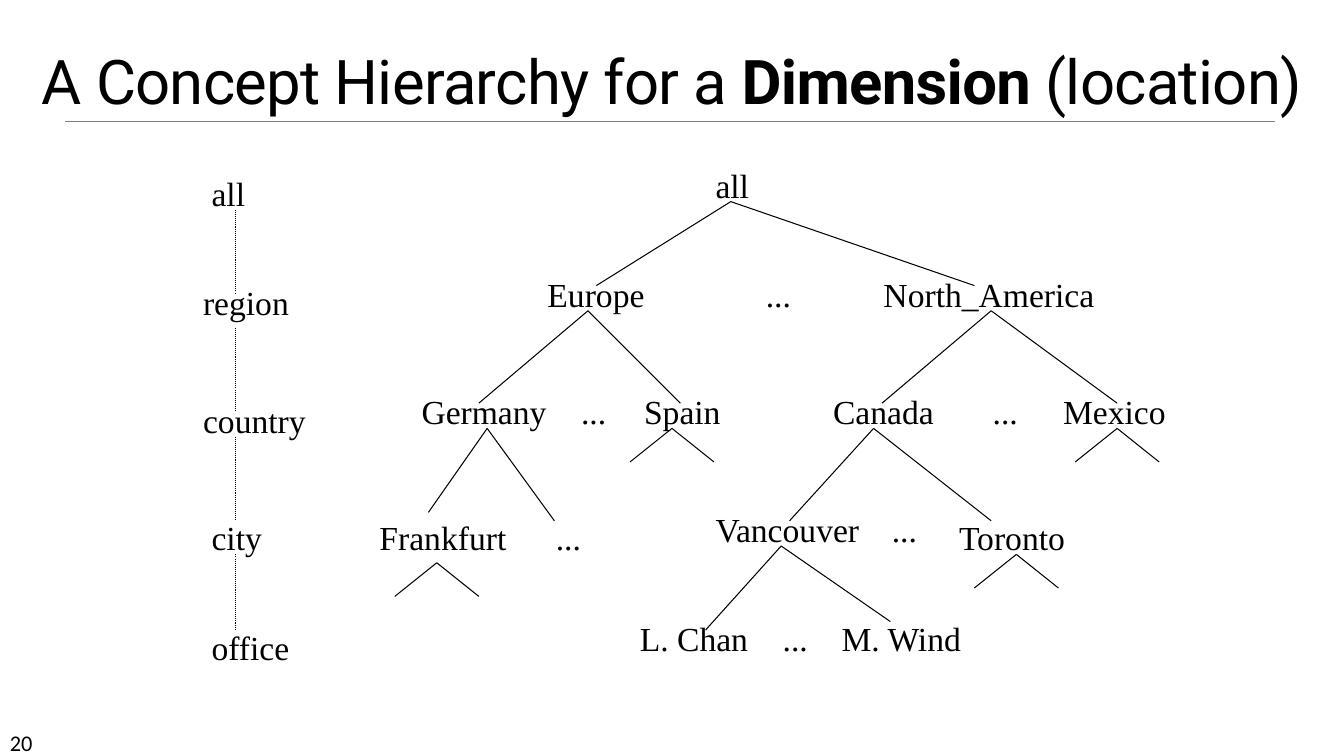
import pptx
import pptx.dml.color
import pptx.enum.dml
import pptx.enum.shapes
import pptx.enum.text
import pptx.oxml.ns
import pptx.util
from lxml import etree

BLACK = pptx.dml.color.RGBColor(0x00, 0x00, 0x00)
GRAY = pptx.dml.color.RGBColor(0x80, 0x80, 0x80)
PX = pptx.util.Inches(1) // 96
DOTTED = pptx.enum.dml.MSO_LINE.ROUND_DOT
LABEL_HEIGHT = 48

# text, left, top, width
LEVELS = [
    ("all", 192, 160, 51),
    ("region", 184, 264, 101),
    ("country", 184, 376, 117),
    ("city", 192, 488, 67),
    ("office", 192, 592, 94),
]
NODES = [
    ("all", 672, 152, 51),
    ("Europe", 512, 256, 113),
    ("North_America", 832, 256, 220),
    ("Germany", 392, 368, 138),
    ("Spain", 604, 368, 92),
    ("Canada", 784, 368, 115),
    ("Mexico", 1003, 368, 117),
    ("Frankfurt", 352, 488, 140),
    ("Vancouver", 672, 480, 159),
    ("Toronto", 904, 488, 122),
    ("L. Chan", 600, 584, 122),
    ("M. Wind", 792, 584, 134),
]
ELLIPSES = [(720, 256), (544, 368), (936, 368), (520, 488), (840, 480), (736, 584)]

# parent point: ends of its branches
BRANCHES = {
    (696, 192): [(568, 272), (928, 272)],
    (560, 296): [(456, 384), (648, 384)],
    (944, 296): [(840, 384), (1064, 384)],
    (464, 408): [(408, 488), (528, 496)],
    (832, 408): [(752, 496), (944, 496)],
    (744, 520): [(672, 600), (848, 592)],
}
STUBS = [(640, 408), (1064, 408), (416, 536), (968, 528)]
LEVEL_X = 224
LEVEL_GAPS = [(200, 280), (312, 392), (416, 496), (528, 600)]


def add_run(p, text, *, font="Times New Roman", size=24, bold=False, color=BLACK, spacing=None):
    """Append a formatted run; spacing is in hundredths of a point."""
    r = p.add_run()
    r.text = text
    r.font.name = font
    r.font.size = pptx.util.Pt(size)
    r.font.bold = bold
    r.font.color.rgb = color
    if spacing is not None:
        r.font._element.set("spc", str(spacing))


class SlideBuilder:
    def __init__(self, prs):
        self.s = prs.slides.add_slide(prs.slide_layouts[5])

    def title(self, parts, left, top, width, height):
        """Fill the title from (text, bold) pairs."""
        sp = self.s.shapes.title
        sp.left, sp.top, sp.width, sp.height = (n * PX for n in (left, top, width, height))
        tf = sp.text_frame
        tf.word_wrap = True
        tf.auto_size = pptx.enum.text.MSO_AUTO_SIZE.NONE
        tf.vertical_anchor = pptx.enum.text.MSO_ANCHOR.BOTTOM
        p = tf.paragraphs[0]
        p.alignment = pptx.enum.text.PP_ALIGN.CENTER
        p.line_spacing = 0.85
        for text, bold in parts:
            add_run(p, text, font="Roboto", size=44, bold=bold, spacing=-50)

    def label(self, text, left, top, width, height=LABEL_HEIGHT, grow=True, **style):
        """Add a text box that grows on one line, or wraps in a fixed frame."""
        sp = self.s.shapes.add_textbox(left * PX, top * PX, width * PX, height * PX)
        tf = sp.text_frame
        tf.word_wrap = not grow
        if grow:
            tf.auto_size = pptx.enum.text.MSO_AUTO_SIZE.SHAPE_TO_FIT_TEXT
        add_run(tf.paragraphs[0], text, **style)

    def line(self, start, end, color=BLACK, width=0.75, dash=None):
        sp = self.s.shapes.add_connector(
            pptx.enum.shapes.MSO_CONNECTOR.STRAIGHT, *(n * PX for n in (*start, *end)))
        sp.line.color.rgb = color
        sp.line.width = pptx.util.Pt(width)
        if dash:
            sp.line.dash_style = dash
        etree.SubElement(sp._element.spPr, pptx.oxml.ns.qn("a:effectLst"))

    def fan(self, apex, ends):
        for end in ends:
            self.line(apex, end)


def main():
    prs = pptx.Presentation()
    prs.slide_width, prs.slide_height = 1280 * PX, 720 * PX
    slide = SlideBuilder(prs)

    slide.line((62, 116), (1214, 116), color=GRAY, width=0.5)
    slide.title([("A Concept Hierarchy for a ", False), ("Dimension", True),
                 (" (location)", False)], 0, -8, 1280, 124)
    slide.label("20", 0, 690, 112, 29, grow=False, font="Calibri", size=16)

    for label in LEVELS + NODES:
        slide.label(*label)
    for left, top in ELLIPSES:
        slide.label("...", left, top, 43)

    for apex, ends in BRANCHES.items():
        slide.fan(apex, ends)
    for x, y in STUBS:
        slide.fan((x, y), [(x - 40, y + 32), (x + 40, y + 32)])
    for top, bottom in LEVEL_GAPS:
        slide.line((LEVEL_X, top), (LEVEL_X, bottom), dash=DOTTED)

    prs.save("out.pptx")


if __name__ == "__main__":
    main()
